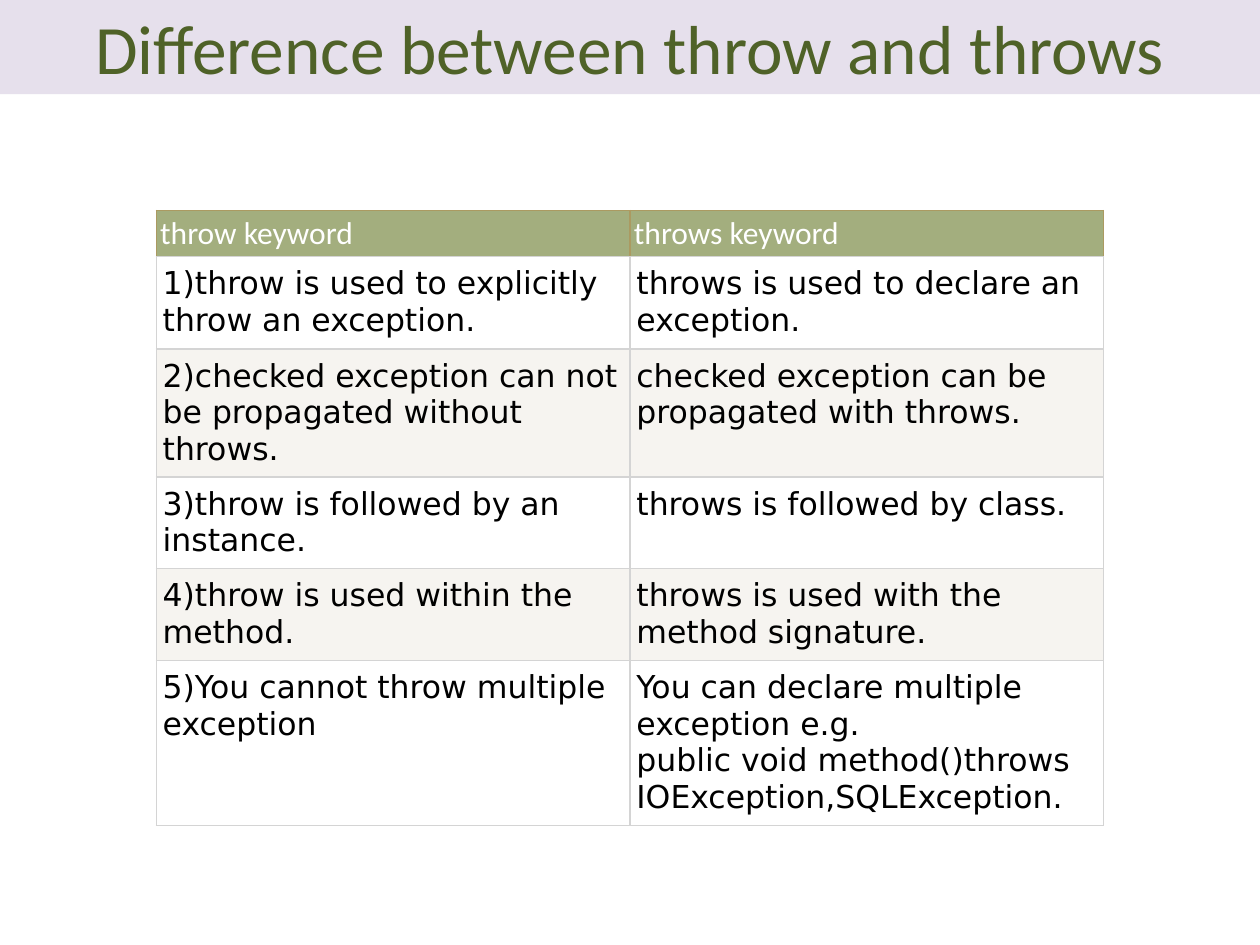
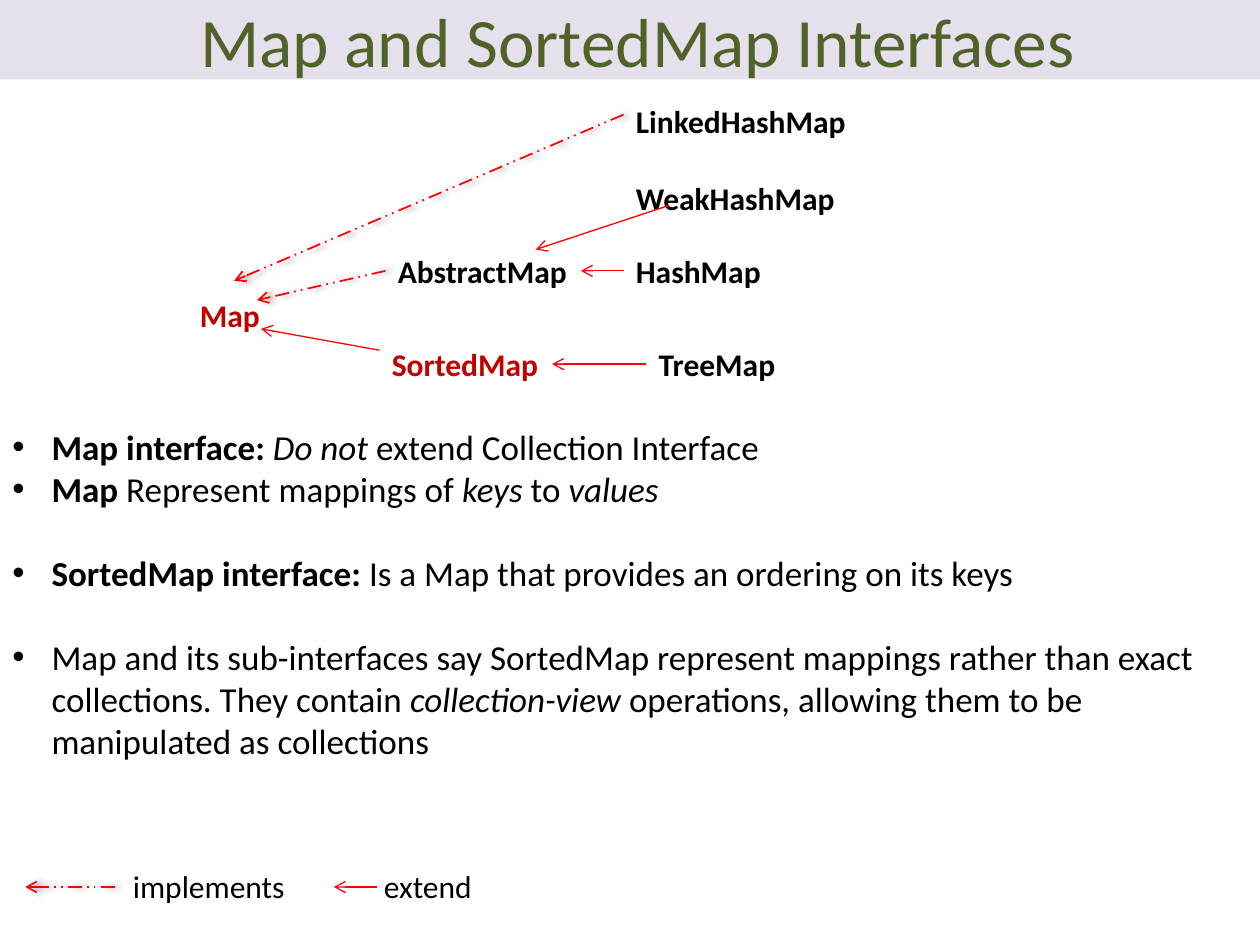
from dataclasses import dataclass
from typing import Optional

from lxml import etree
from pptx import Presentation
from pptx.dml.color import RGBColor
from pptx.enum import dml, shapes, text
from pptx.oxml.ns import qn
from pptx.util import Cm, Pt

LILAC = RGBColor(0xE6, 0xE0, 0xEC)
GREEN = RGBColor(0x4F, 0x62, 0x28)
SAGE = RGBColor(0xA3, 0xAE, 0x7E)
GOLD = RGBColor(0xAB, 0x9A, 0x61)
GREY = RGBColor(0xD4, 0xD4, 0xD4)
CREAM = RGBColor(0xF6, 0xF4, 0xF0)
WHITE = RGBColor(0xFF, 0xFF, 0xFF)
BLACK = RGBColor(0, 0, 0)
RED = RGBColor(0xFF, 0, 0)
CRIMSON = RGBColor(0xC0, 0, 0)
FONT, CELL_FONT = "Calibri", "DejaVu Sans"
SLIDE_W, SLIDE_H = 25.4, 19.05
LABEL_H = 1.02
LEFT_SIDE, RIGHT_SIDE = 1, 3


@dataclass(frozen=True)
class Label:
    """Text on one line, with its box in centimetres."""
    text: str
    x: float
    y: float
    w: float
    color: RGBColor = BLACK
    bold: bool = True


@dataclass(frozen=True)
class Arrow:
    """Arrow in centimetres, optionally joined to named labels."""
    x1: float
    y1: float
    x2: float
    y2: float
    implements: bool = False
    source: Optional[str] = None
    target: Optional[str] = None


@dataclass(frozen=True)
class Bullet:
    """Bullet made of (text, style) runs, style being b, i or empty."""
    runs: tuple[tuple[str, str], ...]
    gap: float = 0


ROWS = [
    ("throw keyword", "throws keyword"),
    ("1)throw is used to explicitly throw an exception.",
     "throws is used to declare an exception."),
    ("2)checked exception can not be propagated without throws.",
     "checked exception can be propagated with throws."),
    ("3)throw is followed by an instance.", "throws is followed by class."),
    ("4)throw is used within the method.",
     "throws is used with the method signature."),
    ("5)You cannot throw multiple exception",
     "You can declare multiple exception e.g.\v"
     "public void method()throws IOException,SQLException."),
]
ROW_HEIGHTS = (0.93, 1.86, 2.58, 1.85, 1.85, 3.32)

LABELS = [
    Label("Map", 3.78, 5.84, 1.73, CRIMSON),
    Label("AbstractMap", 7.77, 4.95, 3.94),
    Label("SortedMap", 7.65, 6.83, 3.48, CRIMSON),
    Label("HashMap", 12.57, 4.95, 3.05),
    Label("TreeMap", 13.03, 6.83, 2.87),
    Label("WeakHashMap", 12.57, 3.48, 4.55),
    Label("LinkedHashMap", 12.57, 1.93, 4.78),
    Label("implements", 2.43, 17.35, 3.6, bold=False),
    Label("extend", 7.49, 17.35, 2.3, bold=False),
]
ARROWS = [
    Arrow(12.57, 2.31, 4.72, 5.66, implements=True),
    Arrow(7.77, 5.46, 5.18, 6.05, implements=True, source="AbstractMap"),
    Arrow(13.49, 4.14, 10.8, 5.03),
    Arrow(7.65, 7.06, 5.26, 6.63),
    Arrow(12.57, 5.46, 11.71, 5.46, source="HashMap", target="AbstractMap"),
    Arrow(13.03, 7.34, 11.13, 7.34, source="TreeMap", target="SortedMap"),
    Arrow(2.31, 17.88, 0.51, 17.88, implements=True),
    Arrow(7.59, 17.88, 6.73, 17.88),
]
BULLETS = [
    Bullet((("Map interface: ", "b"), ("Do not ", "i"),
            ("extend Collection Interface", ""))),
    Bullet((("Map", "b"), (" Represent mappings of ", ""), ("keys ", "i"),
            ("to ", ""), ("values", "i"))),
    Bullet((("SortedMap interface: ", "b"),
            ("Is a Map that provides an ordering on its keys", "")), gap=24),
    Bullet((("Map and its sub-interfaces say SortedMap represent mappings "
             "rather than exact collections. They contain ", ""),
            ("collection-view", "i"),
            (" operations, allowing them to be manipulated as collections", "")),
           gap=24),
]


def style_run(r, size: float, color: RGBColor, font: str = FONT,
              bold: bool = False, italic: bool = False) -> None:
    """Set the font of a run."""
    f = r.font
    f.name, f.size, f.bold, f.italic = font, Pt(size), bold, italic
    f.color.rgb = color


def add_title(slide, title: str, height: float) -> None:
    """Draw the title band across the top of the slide."""
    sp = slide.shapes.add_shape(shapes.MSO_SHAPE.RECTANGLE, 0, 0,
                                Cm(SLIDE_W), Cm(height))
    sp.shadow.inherit = False
    sp.fill.solid()
    sp.fill.fore_color.rgb = LILAC
    sp.line.fill.background()
    tf = sp.text_frame
    tf.margin_top = tf.margin_bottom = 0
    tf.vertical_anchor = text.MSO_ANCHOR.MIDDLE
    tf.text = title
    p = tf.paragraphs[0]
    p.alignment = text.PP_ALIGN.CENTER
    style_run(p.runs[0], 39.6, GREEN)


def set_borders(cell, color: RGBColor, bottom: RGBColor) -> None:
    """Give a cell thin borders, the bottom one in its own colour."""
    pr = cell._tc.get_or_add_tcPr()
    for i, side in enumerate(("lnL", "lnR", "lnT", "lnB")):
        ln = etree.Element(qn(f"a:{side}"), w=str(Pt(0.75)))
        fill = etree.SubElement(ln, qn("a:solidFill"))
        etree.SubElement(fill, qn("a:srgbClr"),
                         val=str(bottom if side == "lnB" else color))
        pr.insert(i, ln)


def add_keyword_table(slide) -> None:
    """Draw the table that compares the two keywords."""
    width = 9.55
    table = slide.shapes.add_table(len(ROWS), 2, Cm(3.15), Cm(4.24), Cm(2 * width),
                                   Cm(sum(ROW_HEIGHTS))).table
    for column in table.columns:
        column.width = Cm(width)
    for i, (row, height) in enumerate(zip(ROWS, ROW_HEIGHTS)):
        table.rows[i].height = Cm(height)
        header = i == 0
        for j, content in enumerate(row):
            cell = table.cell(i, j)
            cell.margin_left = cell.margin_right = Cm(0.08 if header else 0.13)
            cell.margin_top = cell.margin_bottom = Cm(0.08 if header else 0.18)
            cell.fill.solid()
            cell.fill.fore_color.rgb = SAGE if header else (CREAM, WHITE)[i % 2]
            set_borders(cell, GOLD if header else GREY, GREY)
            cell.text_frame.text = content
            for r in cell.text_frame.paragraphs[0].runs:
                style_run(r, 18, WHITE if header else BLACK,
                          FONT if header else CELL_FONT)


def add_label(slide, label: Label):
    """Draw a label and return its text box."""
    sp = slide.shapes.add_textbox(Cm(label.x), Cm(label.y), Cm(label.w), Cm(LABEL_H))
    tf = sp.text_frame
    tf.word_wrap = False
    tf.text = label.text
    style_run(tf.paragraphs[0].runs[0], 18, label.color, bold=label.bold)
    return sp


def add_arrow(slide, arrow: Arrow, boxes: dict) -> None:
    """Draw an arrow, dashed with a soft shadow if it means implements."""
    sp = slide.shapes.add_connector(shapes.MSO_CONNECTOR.STRAIGHT, Cm(arrow.x1),
                                    Cm(arrow.y1), Cm(arrow.x2), Cm(arrow.y2))
    if arrow.source:
        sp.begin_connect(boxes[arrow.source], LEFT_SIDE)
    if arrow.target:
        sp.end_connect(boxes[arrow.target], RIGHT_SIDE)
    sp.line.color.rgb = RED
    sp.line.width = Pt(1 if arrow.implements else 0.75)
    if arrow.implements:
        sp.line.dash_style = dml.MSO_LINE.DASH_DOT_DOT
    etree.SubElement(sp.line._get_or_add_ln(), qn("a:tailEnd"), type="arrow")
    effects = etree.SubElement(sp._element.spPr, qn("a:effectLst"))
    if arrow.implements:
        shadow = etree.SubElement(effects, qn("a:outerShdw"), blurRad=str(Pt(4)),
                                  dist=str(Pt(3)), dir="0")
        color = etree.SubElement(shadow, qn("a:srgbClr"), val=str(BLACK))
        etree.SubElement(color, qn("a:alpha"), val="40000")


def add_bullets(slide, bullets: list[Bullet]) -> None:
    """Draw the bulleted notes on the interfaces."""
    sp = slide.shapes.add_textbox(0, Cm(8.46), Cm(SLIDE_W), Cm(7.95))
    tf = sp.text_frame
    tf.word_wrap = True
    for i, bullet in enumerate(bullets):
        p = tf.add_paragraph() if i else tf.paragraphs[0]
        p.space_before = Pt(bullet.gap)
        pr = p._p.get_or_add_pPr()
        pr.set("marL", str(Cm(0.79)))
        pr.set("indent", str(-Cm(0.79)))
        etree.SubElement(pr, qn("a:buFont"), typeface="Arial")
        etree.SubElement(pr, qn("a:buChar"), char="•")
        for content, style in bullet.runs:
            r = p.add_run()
            r.text = content
            style_run(r, 20, BLACK, bold=style == "b", italic=style == "i")


def main() -> None:
    """Build both slides and save them."""
    prs = Presentation()
    prs.slide_width, prs.slide_height = Cm(SLIDE_W), Cm(SLIDE_H)
    blank = prs.slide_layouts[6]

    slide = prs.slides.add_slide(blank)
    add_title(slide, "Difference between throw and throws", 1.9)
    add_keyword_table(slide)

    slide = prs.slides.add_slide(blank)
    add_title(slide, " Map and SortedMap Interfaces", 1.6)
    boxes = {label.text: add_label(slide, label) for label in LABELS}
    for arrow in ARROWS:
        add_arrow(slide, arrow, boxes)
    add_bullets(slide, BULLETS)

    prs.save("out.pptx")


if __name__ == "__main__":
    main()
